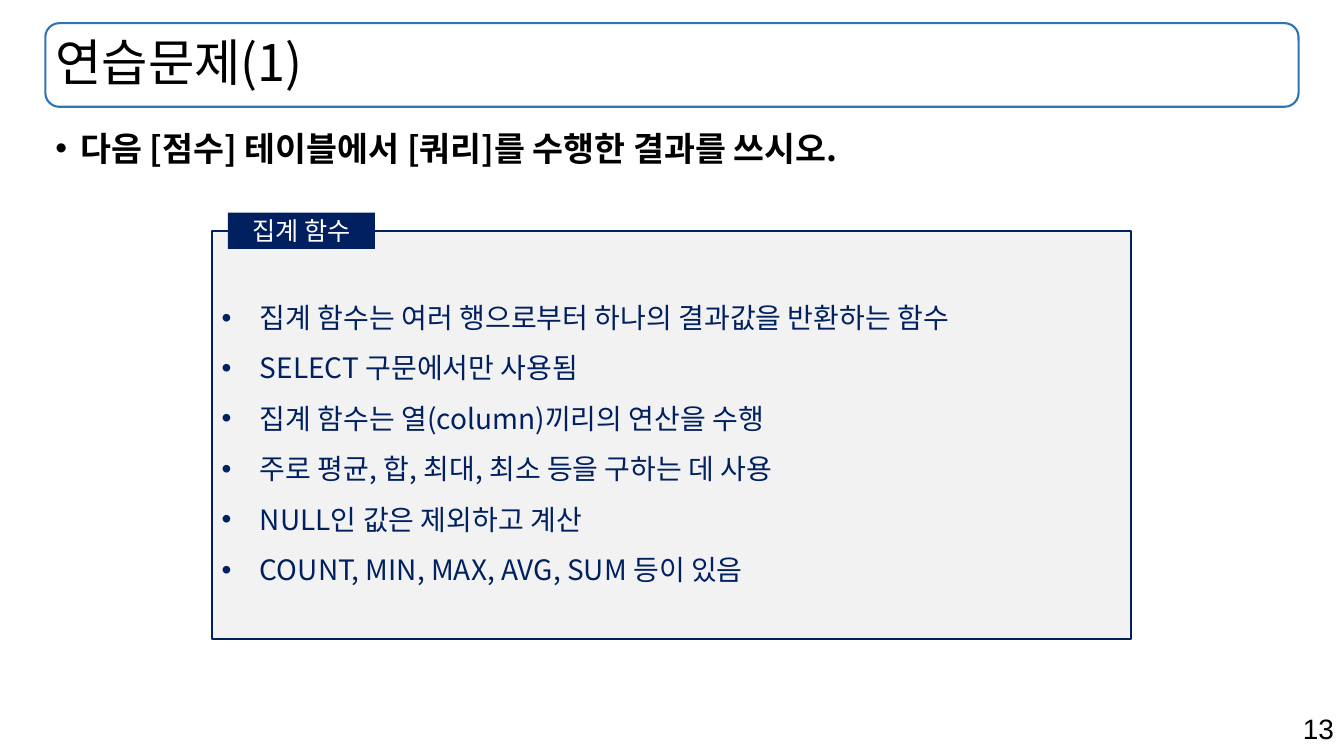
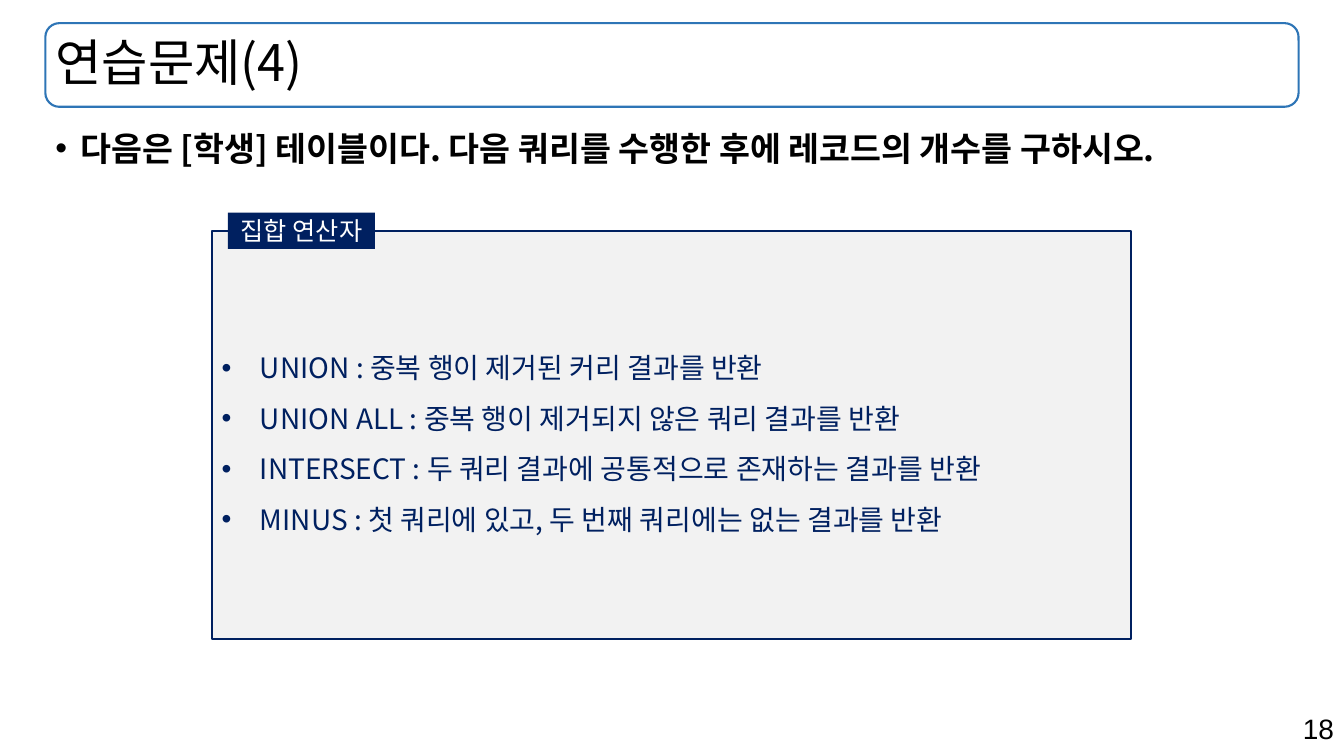
from lxml.etree import SubElement
from pptx import Presentation
from pptx.dml.color import RGBColor
from pptx.enum.shapes import MSO_SHAPE
from pptx.enum.text import MSO_ANCHOR, PP_ALIGN
from pptx.oxml.ns import qn
from pptx.util import Inches, Pt

COLORS = {
    "ink": "000000",
    "navy": "002060",
    "blue": "2E75B6",
    "panel": "F2F2F2",
    "white": "FFFFFF",
}
KOREAN = "Noto Sans CJK KR"
FONTS = {
    "title": {"name": KOREAN, "size": Pt(36), "bold": False},
    "question": {"name": KOREAN, "size": Pt(24), "bold": True},
    "point": {"name": KOREAN, "size": Pt(20), "bold": False},
    "label": {"name": KOREAN, "size": Pt(18), "bold": False},
    "number": {"name": "Arial", "size": Pt(20), "bold": False},
}
TITLE_BAND = (0.45, 0.23, 12.43, 0.83)
EXERCISES = [
    {
        "number": "13",
        "title": "연습문제(1)",
        "question": "다음 [점수] 테이블에서 [쿼리]를 수행한 결과를 쓰시오.",
        "label": "집계 함수",
        "points": [
            "집계 함수는 여러 행으로부터 하나의 결과값을 반환하는 함수",
            "SELECT 구문에서만 사용됨",
            "집계 함수는 열(column)끼리의 연산을 수행",
            "주로 평균, 합, 최대, 최소 등을 구하는 데 사용",
            "NULL인 값은 제외하고 계산",
            "COUNT, MIN, MAX, AVG, SUM 등이 있음",
        ],
    },
    {
        "number": "18",
        "title": "연습문제(4)",
        "question": "다음은 [학생] 테이블이다. 다음 쿼리를 수행한 후에 레코드의 개수를 구하시오.",
        "label": "집합 연산자",
        "points": [
            "UNION : 중복 행이 제거된 커리 결과를 반환",
            "UNION ALL : 중복 행이 제거되지 않은 쿼리 결과를 반환",
            "INTERSECT : 두 쿼리 결과에 공통적으로 존재하는 결과를 반환",
            "MINUS : 첫 쿼리에 있고, 두 번째 쿼리에는 없는 결과를 반환",
        ],
    },
]


class Deck:
    """Holds the shared style and the slide being built."""

    def __init__(self):
        self.presentation = Presentation()
        self.presentation.slide_width = Inches(13.33)
        self.presentation.slide_height = Inches(7.5)
        self.slide = None

    def new_slide(self):
        self.slide = self.presentation.slides.add_slide(self.presentation.slide_layouts[6])

    def color(self, name):
        return RGBColor.from_string(COLORS[name])

    def box(self, place, fill=None, line=None, preset=MSO_SHAPE.RECTANGLE):
        box = self.slide.shapes.add_shape(preset, *map(Inches, place))
        box.shadow.inherit = False
        if fill:
            box.fill.solid()
            box.fill.fore_color.rgb = self.color(fill)
        else:
            box.fill.background()
        if line:
            box.line.color.rgb = self.color(line)
            box.line.width = Pt(1.5)
        else:
            box.line.fill.background()
        return box

    def text_box(self, place):
        return self.slide.shapes.add_textbox(*map(Inches, place))

    def set_text(self, holder, lines, style, color="ink", anchor=MSO_ANCHOR.MIDDLE,
                 align=PP_ALIGN.LEFT, spacing=1.0, indent=None):
        frame = holder.text_frame
        frame.word_wrap = True
        frame.vertical_anchor = anchor
        for index, line in enumerate(lines):
            paragraph = frame.add_paragraph() if index else frame.paragraphs[0]
            paragraph.alignment = align
            paragraph.line_spacing = spacing
            if indent:
                self.bullet(paragraph, indent)
            run = paragraph.add_run()
            run.text = line
            for attribute, value in FONTS[style].items():
                setattr(run.font, attribute, value)
            run.font.color.rgb = self.color(color)
            SubElement(run.font._element, qn("a:ea"), typeface=FONTS[style]["name"])

    def bullet(self, paragraph, indent):
        properties = paragraph._p.get_or_add_pPr()
        properties.set("marL", str(Inches(indent)))
        properties.set("indent", str(-Inches(indent)))
        SubElement(properties, qn("a:buFont"), typeface="Arial")
        SubElement(properties, qn("a:buChar"), char="•")

    def number(self, text):
        self.set_text(self.text_box((9.43, 7.01, 3.9, 0.44)), [text], "number",
                      anchor=MSO_ANCHOR.TOP, align=PP_ALIGN.RIGHT)

    def title(self, text):
        self.box(TITLE_BAND, line="blue", preset=MSO_SHAPE.ROUNDED_RECTANGLE)
        self.set_text(self.text_box(TITLE_BAND), [text], "title", spacing=0.9)

    def question(self, text):
        self.set_text(self.text_box((0.45, 1.26, 12.43, 0.65)), [text], "question",
                      anchor=MSO_ANCHOR.TOP, spacing=0.9, indent=0.25)

    def panel(self, label, points):
        body = self.box((2.1, 2.29, 9.12, 4.05), fill="panel", line="navy")
        self.set_text(body, points, "point", color="navy", spacing=1.5, indent=0.38)
        tab = self.box((2.26, 2.11, 1.46, 0.36), fill="navy")
        self.set_text(tab, [label], "label", color="white", align=PP_ALIGN.CENTER)


def main():
    deck = Deck()
    for exercise in EXERCISES:
        deck.new_slide()
        deck.number(exercise["number"])
        deck.title(exercise["title"])
        deck.question(exercise["question"])
        deck.panel(exercise["label"], exercise["points"])
    deck.presentation.save("out.pptx")


if __name__ == "__main__":
    main()
